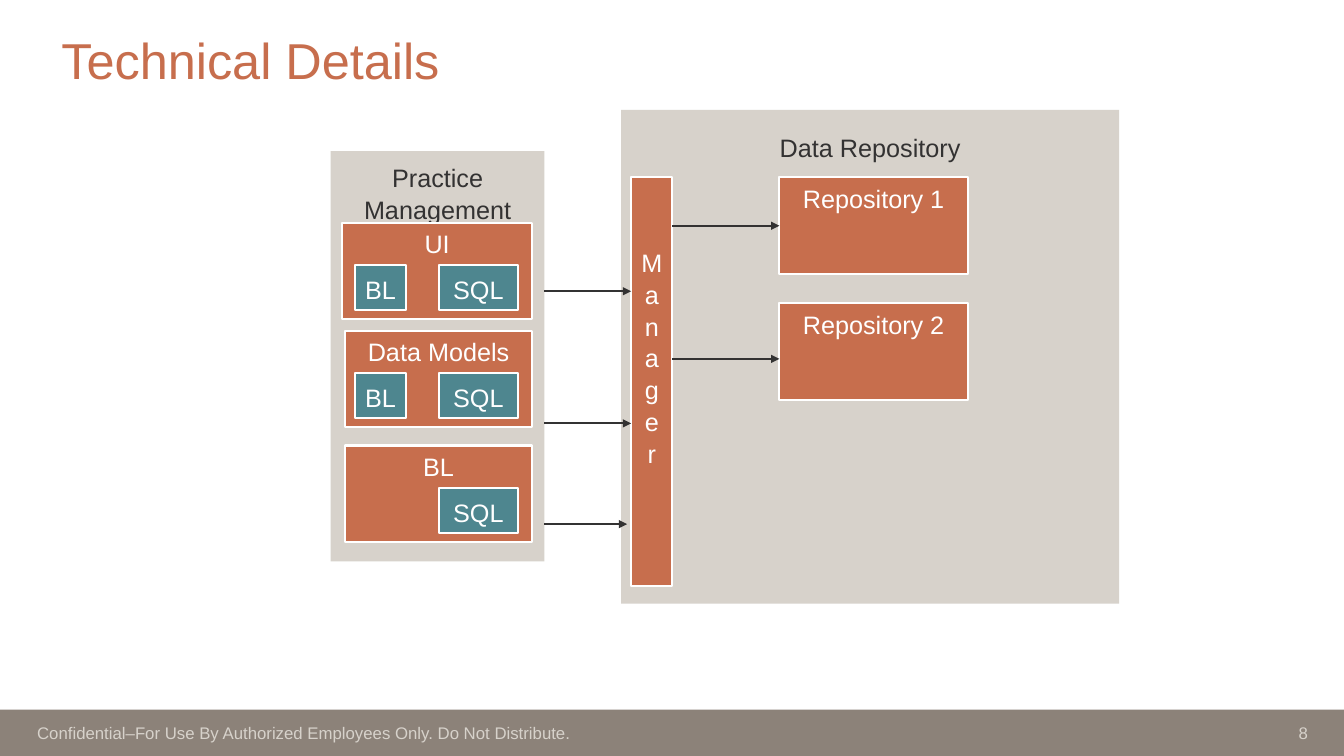
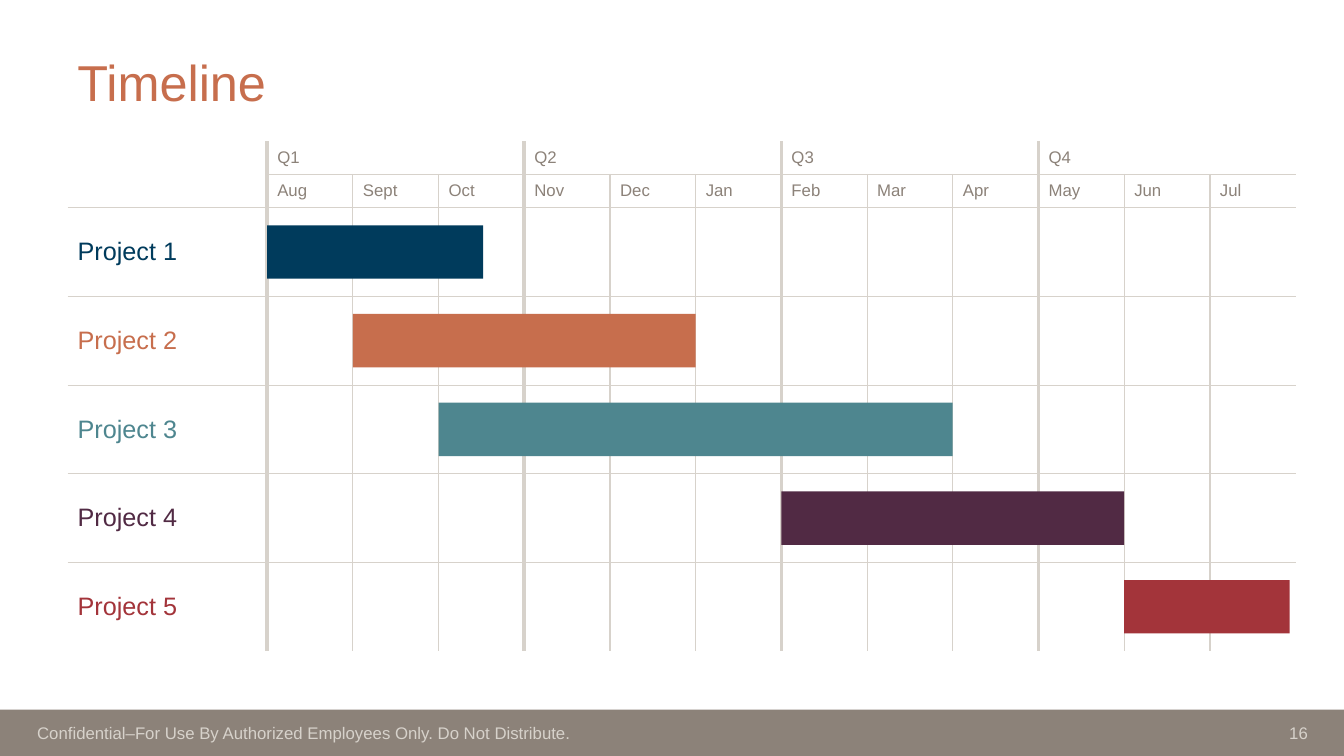
from pptx import Presentation
from pptx.dml.color import RGBColor
from pptx.enum.shapes import MSO_CONNECTOR, MSO_SHAPE
from pptx.enum.text import MSO_ANCHOR, PP_ALIGN
from pptx.oxml.ns import qn
from pptx.util import Inches, Pt
from lxml import etree

COLORS = {
    "ink": "333232",
    "white": "FFFFFF",
    "sand": "D7D2CB",
    "taupe": "8C8279",
    "rust": "C76E4D",
    "teal": "4E868F",
    "navy": "003B5C",
    "plum": "512A44",
    "red": "A3343A",
}
FONT = "Arial"
CONFIDENTIAL = "Confidential–For Use By Authorized Employees Only. Do Not Distribute."
NO_TABLE_STYLE = "{2D5ABB26-0587-4C30-8999-92F81FD0307C}"

QUARTERS = {
    "Q1": ("Aug", "Sept", "Oct"),
    "Q2": ("Nov", "Dec", "Jan"),
    "Q3": ("Feb", "Mar", "Apr"),
    "Q4": ("May", "Jun", "Jul"),
}
# project, colour, first month, length in months
PROJECTS = [
    ("Project 1", "navy", 0, 2.52),
    ("Project 2", "rust", 1, 4),
    ("Project 3", "teal", 2, 6),
    ("Project 4", "plum", 6, 4),
    ("Project 5", "red", 10, 1.93),
]
# module, left, top, its parts
MODULES = [
    ("UI", 3.39, 2.21, ("BL", "SQL")),
    ("Data Models", 3.42, 3.28, ("BL", "SQL")),
    ("BL", 3.42, 4.42, ("SQL",)),
]
MODULE_RIGHT = 5.28
PARTS = {"BL": (3.52, 0.51), "SQL": (4.35, 0.79)}  # left, width


def rgb(color):
    return RGBColor.from_string(COLORS[color])


def write(frame, text, size, color, align=PP_ALIGN.LEFT, spacing=None):
    frame.text = text
    paragraph = frame.paragraphs[0]
    paragraph.alignment = align
    paragraph.line_spacing = spacing
    font = paragraph.runs[0].font
    font.name, font.size = FONT, Pt(size)
    font.color.rgb = rgb(color)


def add_label(slide, text, left, top, width, height, size, color, **style):
    frame = slide.shapes.add_textbox(
        Inches(left), Inches(top), Inches(width), Inches(height)).text_frame
    frame.word_wrap = True
    frame.vertical_anchor = MSO_ANCHOR.MIDDLE
    write(frame, text, size, color, **style)


def add_block(slide, left, top, width, height, fill, outlined=False):
    block = slide.shapes.add_shape(
        MSO_SHAPE.RECTANGLE, Inches(left), Inches(top), Inches(width), Inches(height))
    block.shadow.inherit = False
    block.fill.solid()
    block.fill.fore_color.rgb = rgb(fill)
    if outlined:
        block.line.color.rgb = rgb("white")
        block.line.width = Pt(1.5)
    else:
        block.line.fill.background()
    return block


def caption(block, text, color="white", inset=0.04, side=0.1):
    """Centre text in a block, a given inset below its top edge."""
    frame = block.text_frame
    frame.word_wrap = True
    frame.vertical_anchor = MSO_ANCHOR.TOP
    frame.margin_top, frame.margin_bottom = Inches(inset), 0
    frame.margin_left = frame.margin_right = Inches(side)
    write(frame, text, 18, color, PP_ALIGN.CENTER, spacing=1.05)


def add_arrow(slide, start, end, y, target=None):
    arrow = slide.shapes.add_connector(
        MSO_CONNECTOR.STRAIGHT, Inches(start), Inches(y), Inches(end), Inches(y))
    if target is not None:
        arrow.end_connect(target, 1)
    arrow.line.color.rgb = rgb("ink")
    arrow.line.width = Pt(1.5)
    etree.SubElement(arrow.line._get_or_add_ln(), qn("a:tailEnd"), type="triangle")
    etree.SubElement(arrow._element.spPr, qn("a:effectLst"))


def add_slide(deck, title, number, title_left, title_top):
    """Add a slide with its title and the shared footer band."""
    slide = deck.slides.add_slide(deck.slide_layouts[6])
    add_block(slide, 0, 7.04, 13.33, 0.46, "taupe")
    add_label(slide, CONFIDENTIAL, 0.27, 7.12, 8.4, 0.3, 12, "sand")
    add_label(slide, number, 10.52, 7.12, 2.55, 0.3, 12, "sand", align=PP_ALIGN.RIGHT)
    add_label(slide, title, title_left, title_top, 11.75, 0.85, 36, "rust", spacing=0.9)
    return slide


def add_module(slide, name, left, top, parts):
    module = add_block(slide, left, top, MODULE_RIGHT - left, 0.96, "rust", outlined=True)
    caption(module, name)
    for part in parts:
        part_left, width = PARTS[part]
        chip = add_block(slide, part_left, top + 0.42, width, 0.45, "teal", outlined=True)
        caption(chip, part, inset=0.08, side=0)


def build_architecture(deck):
    slide = add_slide(deck, "Technical Details", "8", 0.51, 0.2)

    data_repository = add_block(slide, 6.16, 1.09, 4.94, 4.9, "sand")
    caption(data_repository, "Data Repository", "ink", inset=0.21)
    manager = add_block(slide, 6.26, 1.76, 0.41, 4.05, "rust", outlined=True)
    caption(manager, "Manager", inset=0.68)
    repositories = []
    for name, top in (("Repository 1", 1.76), ("Repository 2", 3.01)):
        repository = add_block(slide, 7.73, top, 1.87, 0.96, "rust", outlined=True)
        caption(repository, name)
        repositories.append(repository)
    add_arrow(slide, 6.67, 7.73, 2.24, target=repositories[0])
    add_arrow(slide, 6.67, 7.73, 3.56)

    practice = add_block(slide, 3.28, 1.5, 2.12, 4.07, "sand")
    caption(practice, "Practice Management", "ink", inset=0.1)
    for end, y in ((6.26, 2.89), (6.26, 4.2), (6.22, 5.2)):
        add_arrow(slide, 5.4, end, y)
    for module in MODULES:
        add_module(slide, *module)


def add_border(cell, side, width):
    """Draw one side of a cell; a width of 0 leaves it open."""
    line = etree.SubElement(cell._tc.get_or_add_tcPr(), qn(f"a:ln{side}"), w=str(Pt(width)))
    if width:
        fill = etree.SubElement(line, qn("a:solidFill"))
        etree.SubElement(fill, qn("a:srgbClr"), val=COLORS["sand"])
    else:
        etree.SubElement(line, qn("a:noFill"))


def rule_after_column(column):
    """Heavy rules start each quarter; the outer edges stay open."""
    if column in (-1, 12):
        return 0
    return 3 if column % 3 == 0 else 1


def rule_after_row(row, column):
    if row in (-1, 6) or (row == 0 and column == 0):
        return 0
    return 1 if row < 2 else 0.5


def format_cell(cell, row, column):
    cell.margin_top = cell.margin_bottom = 0
    cell.vertical_anchor = MSO_ANCHOR.MIDDLE
    add_border(cell, "L", rule_after_column(column - 1))
    add_border(cell, "R", rule_after_column(column))
    add_border(cell, "T", rule_after_row(row - 1, column))
    add_border(cell, "B", rule_after_row(row, column))
    cell.fill.background()


def add_calendar(slide, left, top, column_widths, row_heights):
    table = slide.shapes.add_table(
        len(row_heights), len(column_widths), Inches(left), Inches(top),
        Inches(sum(column_widths)), Inches(sum(row_heights))).table
    table.first_row = table.horz_banding = False
    table._tbl.tblPr.find(qn("a:tableStyleId")).text = NO_TABLE_STYLE
    for column, width in enumerate(column_widths):
        table.columns[column].width = Inches(width)
    for row, height in enumerate(row_heights):
        table.rows[row].height = Inches(height)
        for column in range(len(column_widths)):
            format_cell(table.cell(row, column), row, column)

    for index, (quarter, months) in enumerate(QUARTERS.items()):
        first = 1 + 3 * index
        heading = table.cell(0, first)
        heading.merge(table.cell(0, first + 2))
        add_border_right = heading._tc.tcPr.find(qn("a:lnR"))
        last_right = table.cell(0, first + 2)._tc.tcPr.find(qn("a:lnR"))
        heading._tc.tcPr.replace(add_border_right, etree.fromstring(etree.tostring(last_right)))
        write(heading.text_frame, quarter, 12, "taupe")
        for offset, month in enumerate(months):
            write(table.cell(1, first + offset).text_frame, month, 12, "taupe")
    for row, (name, color, *_) in enumerate(PROJECTS, start=2):
        write(table.cell(row, 0).text_frame, name, 18, color)


def build_timeline(deck):
    slide = add_slide(deck, "Timeline", "16", 0.67, 0.42)
    left, top = 0.67, 1.4
    name_width, month_width = 1.98, 0.85
    header_height, project_height = 0.33, 0.88
    add_calendar(slide, left, top,
                 [name_width] + [month_width] * 12,
                 [header_height] * 2 + [project_height] * len(PROJECTS))

    bar_height = 0.53
    first_bar = top + 2 * header_height + (project_height - bar_height) / 2
    for index, (_, color, start, months) in enumerate(PROJECTS):
        add_block(slide, left + name_width + start * month_width,
                  first_bar + index * project_height,
                  months * month_width, bar_height, color)


def main():
    deck = Presentation()
    deck.slide_width, deck.slide_height = Inches(13.33), Inches(7.5)
    build_architecture(deck)
    build_timeline(deck)
    deck.save("out.pptx")


if __name__ == "__main__":
    main()
